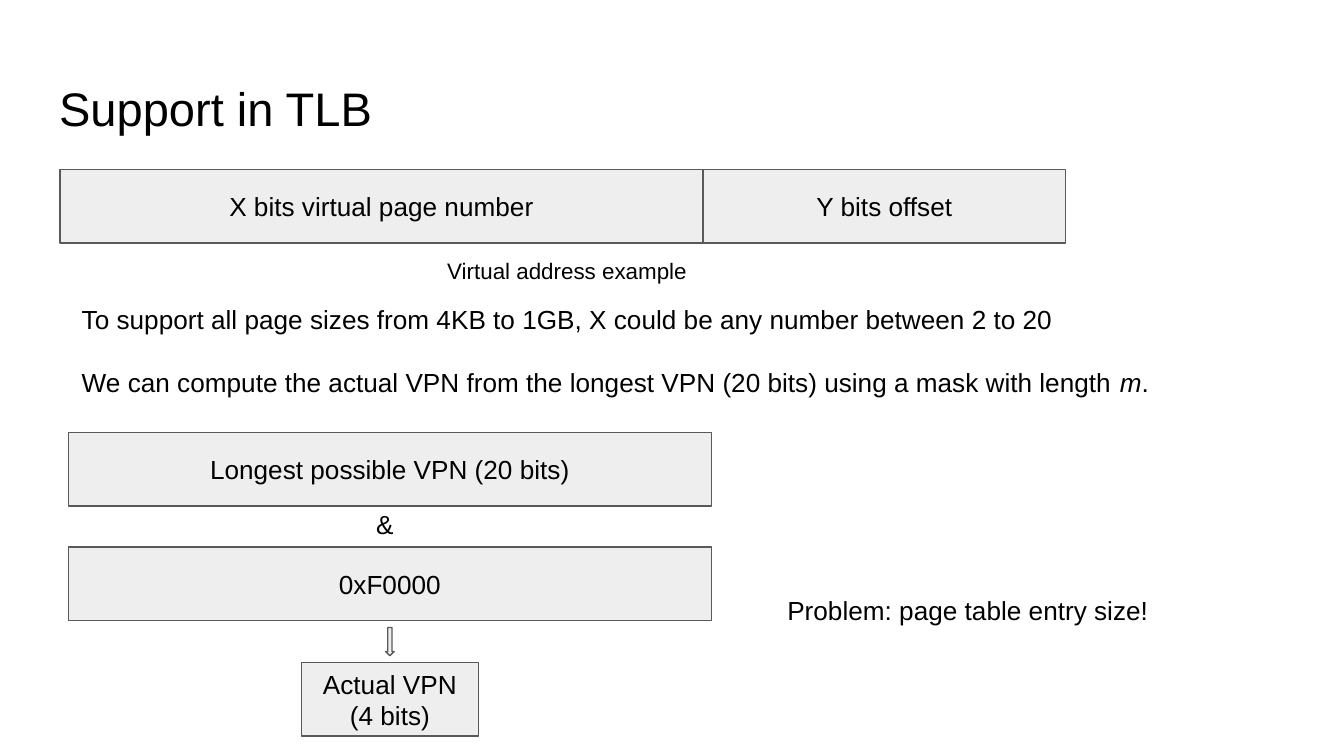
"""Builds the slide that explains TLB support for several page sizes."""
from dataclasses import dataclass

from pptx import Presentation
from pptx.dml.color import RGBColor
from pptx.enum.shapes import MSO_SHAPE as Shape
from pptx.enum.text import MSO_ANCHOR as Anchor, MSO_AUTO_SIZE as AutoSize, PP_ALIGN as Align
from pptx.util import Pt


@dataclass(frozen=True)
class Theme:
    font: str = "Arial"
    ink: RGBColor = RGBColor(0, 0, 0)
    fill: RGBColor = RGBColor(0xEE, 0xEE, 0xEE)
    edge: RGBColor = RGBColor(0x59, 0x59, 0x59)
    title: float = 25.2
    body: float = 14
    caption: float = 12
    stroke: float = 0.75
    inset: float = 7.2


class SlideBuilder:
    def __init__(self, page, theme):
        self.page = page
        self.theme = theme

    def set_text(self, box, paragraphs, size, align=Align.LEFT, anchor=Anchor.TOP, gap=0):
        frame = box.text_frame
        frame.word_wrap = True
        frame.auto_size = AutoSize.NONE
        frame.vertical_anchor = anchor
        frame.margin_left = frame.margin_right = Pt(self.theme.inset)
        frame.margin_top = frame.margin_bottom = Pt(self.theme.inset)
        for index, spans in enumerate(paragraphs):
            para = frame.add_paragraph() if index else frame.paragraphs[0]
            para.alignment = align
            para.space_before = Pt(gap if index else 0)
            para.font.name = self.theme.font
            para.font.size = Pt(size)
            para.font.color.rgb = self.theme.ink
            for words, italic in spans:
                span = para.add_run()
                span.text = words
                if italic:
                    span.font.italic = True

    def title(self, words, left, top, width, height):
        box = self.page.shapes.title
        box.left, box.top, box.width, box.height = map(Pt, (left, top, width, height))
        self.set_text(box, [[(words, False)]], self.theme.title)

    def text(self, paragraphs, left, top, width, height, size=None, gap=0):
        box = self.page.shapes.add_textbox(*map(Pt, (left, top, width, height)))
        self.set_text(box, paragraphs, size or self.theme.body, gap=gap)

    def shape(self, kind, left, top, width, height):
        box = self.page.shapes.add_shape(kind, *map(Pt, (left, top, width, height)))
        box.shadow.inherit = False
        box.fill.solid()
        box.fill.fore_color.rgb = self.theme.fill
        box.line.color.rgb = self.theme.edge
        box.line.width = Pt(self.theme.stroke)
        return box

    def field(self, lines, left, top, width, height):
        box = self.shape(Shape.RECTANGLE, left, top, width, height)
        paragraphs = [[(line, False)] for line in lines]
        self.set_text(box, paragraphs, self.theme.body, Align.CENTER, Anchor.MIDDLE)


deck = Presentation()
deck.slide_width, deck.slide_height = Pt(720), Pt(405)
theme = Theme()
slide = SlideBuilder(deck.slides.add_slide(deck.slide_layouts[5]), theme)

field_height = 39.4
vpn_width = 344.4
address_left, address_top = 32.2, 90.8
mask_left = 36.7
mask_center = mask_left + vpn_width / 2
actual_width, arrow_width = 95, 4.6

slide.title("Support in TLB", 24.5, 35.3, 671, 45.4)

slide.field(["Y bits offset"], address_left + vpn_width, address_top, 194.4, field_height)
slide.field(["X bits virtual page number"], address_left, address_top, vpn_width, field_height)
slide.text([[("Virtual address example", False)]], 232.5, 130.3, 204, 28.8, theme.caption)

slide.text(
    [
        [("To support all page sizes from 4KB to 1GB, X could be any number between 2 to 20", False)],
        [
            ("We can compute the actual VPN from the longest VPN (20 bits) using a mask with length ", False),
            ("m", True),
            (".", False),
        ],
    ],
    mask_left, 155.5, 595.4, 65.5, gap=17,
)

for label, top in (("Longest possible VPN (20 bits)", 231.8), ("0xF0000", 293)):
    slide.field([label], mask_left, top, vpn_width, field_height)
slide.text([[("&", False)]], 194.4, 265, 19.4, 31.7)
slide.field(["Actual VPN", "(4 bits)"], mask_center - actual_width / 2, 355, actual_width, field_height)
slide.shape(Shape.DOWN_ARROW, mask_center - arrow_width / 2, 336.2, arrow_width, 15.1)

slide.text([[("Problem: page table entry size!", False)]], 414.7, 311, 305, 31.7)

deck.save("out.pptx")
